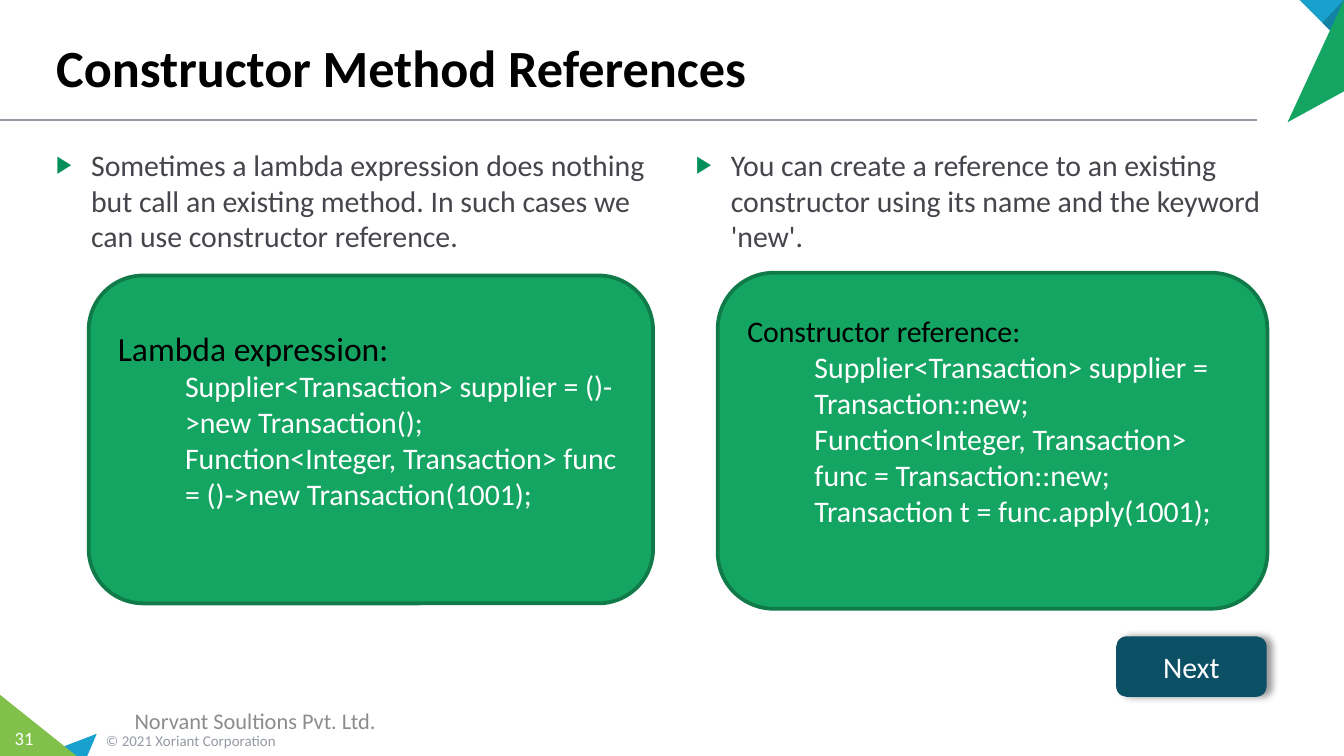
"""Build the slide on constructor method references."""
from lxml.etree import SubElement
from pptx import Presentation
from pptx.dml.color import RGBColor
from pptx.enum.shapes import MSO_CONNECTOR, MSO_SHAPE
from pptx.enum.text import MSO_ANCHOR, PP_ALIGN
from pptx.oxml.ns import qn
from pptx.util import Inches, Pt

W, H = 10, 5.625
FONT = "Calibri"
GREEN, GREY, WHITE, BLACK = "15A563", "959AA5", "FFFFFF", "000000"

CORNERS = [
    ("17A1CC", [(0.72, 5.46), (0.65, H), (0.29, H)]),
    ("81C14B", [(0, 5.17), (0.57, H), (0, H)]),
    ("17A1CC", [(9.67, 0), (W, 0), (W, 0.33)]),
    ("1281A3", [(9.84, 0.17), (W, 0), (W, 0.33)]),
    (GREEN, [(9.58, 0.91), (W, 0), (W, 0.68)]),
]
LABELS = [
    ("Constructor Method References", (0.32, 0.06, 9, 0.72), 28, BLACK,
     {"vertical_anchor": MSO_ANCHOR.BOTTOM}, {"bold": True}, PP_ALIGN.LEFT),
    ("© 2021 Xoriant Corporation", (0.69, 5.39, 2.33, 0.24), 8, GREY,
     {}, {}, PP_ALIGN.LEFT),
    ("31", (0, 5.36, 0.36, 0.27), 10, WHITE,
     {"margin_left": 0, "margin_right": 0, "vertical_anchor": MSO_ANCHOR.TOP},
     {}, PP_ALIGN.CENTER),
    ("Norvant Soultions Pvt. Ltd.", (0, 5.21, 3.8, 0.3), 12, "8C8C8C",
     {}, {}, PP_ALIGN.CENTER),
]
BULLETS = [
    (0.32, "Sometimes a lambda expression does nothing but call an existing "
           "method. In such cases we can use constructor reference."),
    (5.08, "You can create a reference to an existing constructor using its "
           "name and the keyword 'new'."),
]
PANELS = [
    ((0.66, 2.05, 4.2, 2.44), "Lambda expression:", 18, [
        "Supplier<Transaction> supplier = ()->new Transaction();",
        "Function<Integer, Transaction> func = ()->new Transaction(1001);"]),
    ((5.34, 2.03, 4.09, 2.5), "Constructor reference:", 16, [
        "Supplier<Transaction> supplier = Transaction::new;",
        "Function<Integer, Transaction> func = Transaction::new;",
        "Transaction t = func.apply(1001);"]),
]
BUTTON = ("Next", (8.31, 4.74, 1.11, 0.44), "0C5066")


def rgb(color):
    """Turn a hex string into a colour."""
    return RGBColor.from_string(color)


def apply(target, values):
    """Set each named attribute on the target."""
    for name, value in values.items():
        setattr(target, name, value)


def add(parent, tag, **attrs):
    """Append a DrawingML element."""
    return SubElement(parent, qn(f"a:{tag}"), attrs)


def paint(sp, fill, line=None, width=1):
    """Give a shape a flat fill and an optional outline."""
    sp.shadow.inherit = False
    sp.fill.solid()
    sp.fill.fore_color.rgb = rgb(fill)
    if line:
        sp.line.color.rgb = rgb(line)
        sp.line.width = Pt(width)
    else:
        sp.line.fill.background()


def write(p, text, size, color, align=PP_ALIGN.LEFT, **extra):
    """Write one run into a paragraph."""
    p.alignment = align
    r = p.add_run()
    r.text = text
    apply(r.font, {"name": FONT, "size": Pt(size), **extra})
    r.font.color.rgb = rgb(color)


def frame(sp, **values):
    """Prepare the text frame of a shape."""
    tf = sp.text_frame
    apply(tf, {"word_wrap": True, "vertical_anchor": MSO_ANCHOR.MIDDLE, **values})
    return tf


def indent(p, left, first=0):
    """Set the left margin and first-line indent of a paragraph."""
    pPr = p._p.get_or_add_pPr()
    pPr.set("marL", str(Inches(left)))
    pPr.set("indent", str(Inches(first)))
    return pPr


def add_bullet(p):
    """Give a paragraph the green triangle bullet."""
    pPr = indent(p, 0.26, -0.26)
    add(add(pPr, "buClr"), "srgbClr", val="049159")
    add(pPr, "buSzPct", val="80000")
    add(pPr, "buFont", typeface="Arial")
    add(pPr, "buChar", char="▶")
    p.space_after = Pt(3)


def add_shadow(sp):
    """Give a shape a soft shadow to its right."""
    effects = sp._element.spPr.find(qn("a:effectLst"))
    shadow = add(effects, "outerShdw", blurRad=str(Pt(4)), dist=str(Pt(3)),
                 dir="0", algn="l", rotWithShape="0")
    add(add(shadow, "srgbClr", val=BLACK), "alpha", val="40000")


def main():
    """Lay out the slide and save it."""
    prs = Presentation()
    prs.slide_width, prs.slide_height = Inches(W), Inches(H)
    s = prs.slides.add_slide(prs.slide_layouts[6])
    shapes = s.shapes

    for color, points in CORNERS:
        start, *rest = [(Inches(x), Inches(y)) for x, y in points]
        builder = shapes.build_freeform(*start)
        builder.add_line_segments(rest, close=True)
        paint(builder.convert_to_shape(), color)

    rule = shapes.add_connector(MSO_CONNECTOR.STRAIGHT, 0, Inches(0.89),
                                Inches(9.35), Inches(0.89))
    rule.line.color.rgb = rgb(GREY)
    rule.line.width = Pt(1)
    add(rule._element.spPr, "effectLst")

    for text, box, size, color, layout, style, align in LABELS:
        tf = frame(shapes.add_textbox(*map(Inches, box)), **layout)
        write(tf.paragraphs[0], text, size, color, align, **style)

    for left, text in BULLETS:
        sp = shapes.add_textbox(*map(Inches, (left, 1.04, 4.6, 4.27)))
        p = frame(sp, vertical_anchor=MSO_ANCHOR.TOP).paragraphs[0]
        add_bullet(p)
        write(p, text, 16, "44464B")

    for box, heading, size, code in PANELS:
        sp = shapes.add_shape(MSO_SHAPE.ROUNDED_RECTANGLE, *map(Inches, box))
        paint(sp, GREEN, "107A49", 2)
        tf = frame(sp, margin_bottom=Inches(0.35))
        write(tf.paragraphs[0], heading, size, BLACK)
        for line in code:
            p = tf.add_paragraph()
            p.level = 1
            indent(p, 0.5)
            write(p, line, 16, WHITE)

    text, box, color = BUTTON
    sp = shapes.add_shape(MSO_SHAPE.ROUNDED_RECTANGLE, *map(Inches, box))
    paint(sp, color, color, 0.75)
    add_shadow(sp)
    write(frame(sp).paragraphs[0], text, 16, WHITE, PP_ALIGN.CENTER)

    prs.save("out.pptx")


if __name__ == "__main__":
    main()
